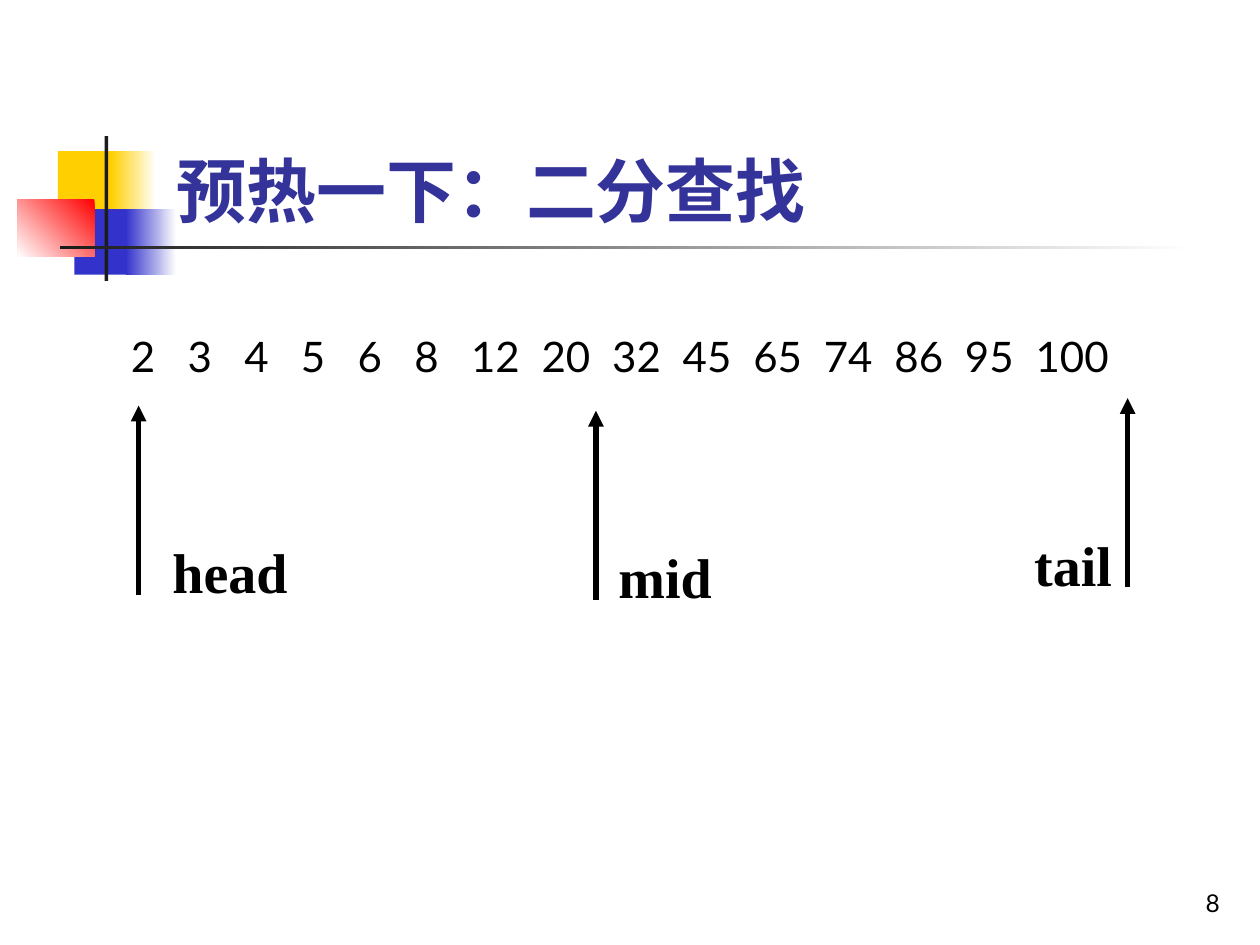
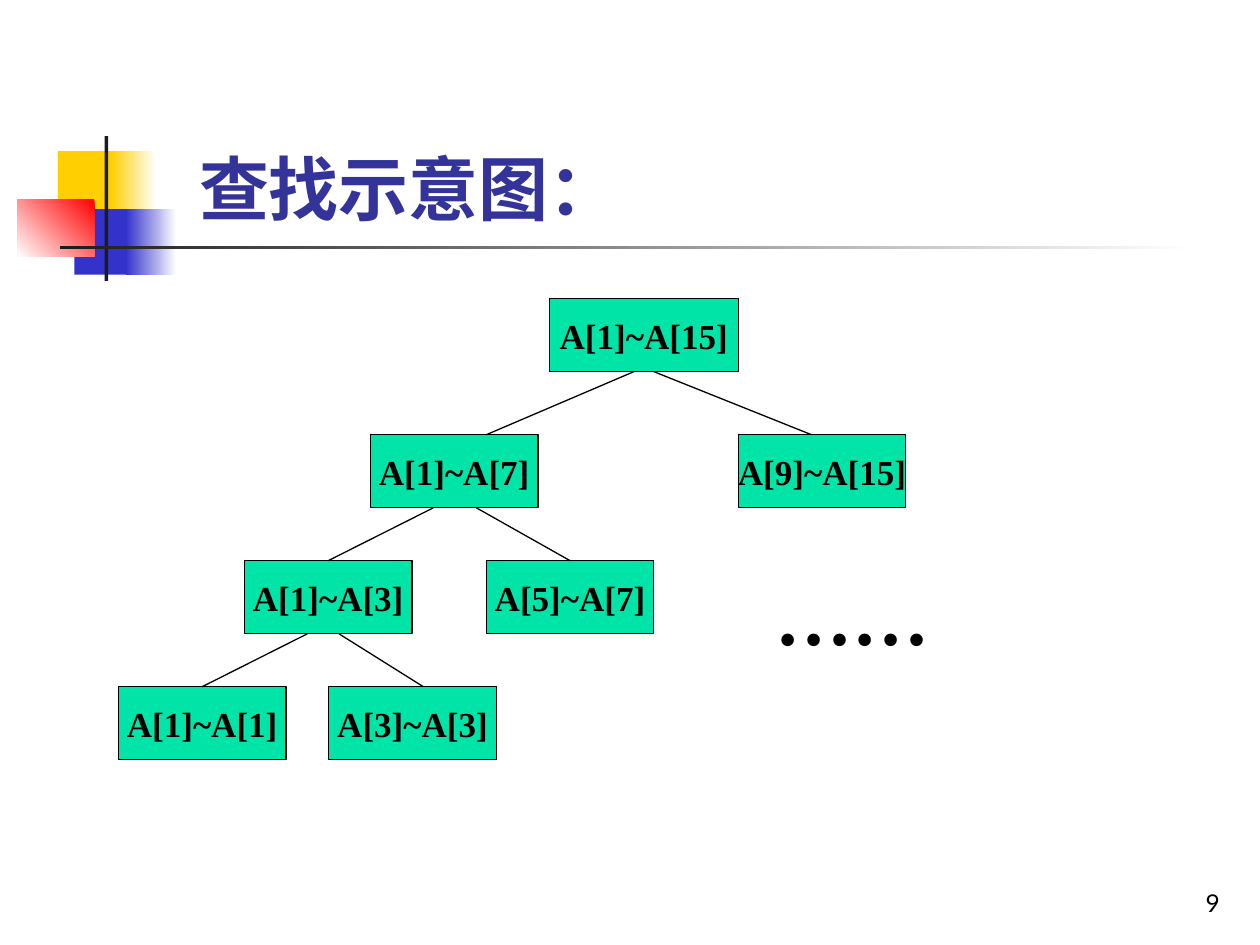
from lxml import etree
from pptx import Presentation
from pptx.dml.color import RGBColor
from pptx.enum.shapes import MSO_CONNECTOR, MSO_SHAPE
from pptx.enum.text import MSO_ANCHOR, PP_ALIGN
from pptx.oxml.ns import qn
from pptx.util import Inches, Pt

RECT = MSO_SHAPE.RECTANGLE
LINE = MSO_CONNECTOR.STRAIGHT
LEFT, CENTER, RIGHT = PP_ALIGN.LEFT, PP_ALIGN.CENTER, PP_ALIGN.RIGHT
TOP, MIDDLE, BOTTOM = MSO_ANCHOR.TOP, MSO_ANCHOR.MIDDLE, MSO_ANCHOR.BOTTOM

BLACK = RGBColor(0x00, 0x00, 0x00)
WHITE = RGBColor(0xFF, 0xFF, 0xFF)
INK = RGBColor(0x1C, 0x1C, 0x1C)
GOLD = RGBColor(0xFF, 0xCF, 0x01)
BLUE = RGBColor(0x33, 0x33, 0xCC)
RED = RGBColor(0xFF, 0x00, 0x00)
NAVY = RGBColor(0x33, 0x33, 0x99)
GREEN = RGBColor(0x00, 0xE4, 0xA8)

SANS, SERIF = "Lato", "Times New Roman"

BANDS = [
    ((0.46, 1.2, 0.48, 0.52), [GOLD], 0),
    ((0.88, 1.2, 0.36, 0.52), [WHITE, GOLD], 180),
    ((0.59, 1.66, 0.46, 0.52), [BLUE], 0),
    ((1, 1.66, 0.4, 0.52), [WHITE, BLUE], 180),
    ((0.14, 1.58, 0.61, 0.46), [RED, WHITE], 225),
    ((0.83, 1.08, 0.03, 1.15), [INK], 0),
    ((0.48, 1.95, 9, 0.03), [WHITE, INK], 180),
]


class Deck:
    def __init__(self):
        self.prs = Presentation()
        self.prs.slide_width = Inches(10)
        self.prs.slide_height = Inches(7.5)
        self.slide = None

    def start(self, title, spot, number):
        self.slide = self.prs.slides.add_slide(self.prs.slide_layouts[5])
        for place, tints, angle in BANDS:
            self.block(place, tints, angle)
        head = self.slide.shapes.title
        head.left, head.top, head.width, head.height = map(Inches, spot)
        self.style(head, title, 40, SANS, NAVY, True, anchor=BOTTOM)
        self.label((7.7, 6.83, 2.08, 0.5), str(number), 14, SANS,
                   align=RIGHT, anchor=BOTTOM)

    def style(self, shape, text, size, face, color=BLACK, bold=False,
              align=LEFT, anchor=TOP, wrap=True, stops=()):
        frame = shape.text_frame
        frame.word_wrap = wrap
        frame.vertical_anchor = anchor
        para = frame.paragraphs[0]
        para.text = text
        para.alignment = align
        if stops:
            tabs = etree.SubElement(para._p.get_or_add_pPr(), qn("a:tabLst"))
            for stop in stops:
                etree.SubElement(tabs, qn("a:tab"), pos=str(Inches(stop)), algn="l")
        font = para.font
        font.size, font.name, font.bold = Pt(size), face, bold
        font.color.rgb = color

    def label(self, place, text, size, face, **look):
        box = self.slide.shapes.add_textbox(*map(Inches, place))
        self.style(box, text, size, face, **look)

    def block(self, place, tints, angle=0):
        shape = self.slide.shapes.add_shape(RECT, *map(Inches, place))
        shape.shadow.inherit = False
        shape.line.fill.background()
        if len(tints) == 1:
            shape.fill.solid()
            shape.fill.fore_color.rgb = tints[0]
        else:
            shape.fill.gradient()
            shape.fill.gradient_angle = angle
            for stop, tint in zip(shape.fill.gradient_stops, tints):
                stop.color.rgb = tint
        return shape

    def node(self, place, text):
        shape = self.block(place, [GREEN])
        shape.line.color.rgb = BLACK
        shape.line.width = Pt(0.75)
        self.style(shape, text, 20, SERIF, bold=True, align=CENTER,
                   anchor=MIDDLE, wrap=False)
        return shape

    def line(self, ends, width=0.75, arrow=False):
        link = self.slide.shapes.add_connector(LINE, *map(Inches, ends))
        link.line.color.rgb = BLACK
        link.line.width = Pt(width)
        if arrow:
            etree.SubElement(link.get_or_add_ln(), qn("a:tailEnd"), type="triangle")
        etree.SubElement(link._element.spPr, qn("a:effectLst"))
        return link


def search(deck):
    deck.start("预热一下：二分查找", (1.3, 0.84, 6.83, 1.05), 8)
    values = [2, 3, 4, 5, 6, 8, 12, 20, 32, 45, 65, 74, 86, 95, 100]
    stops, stop = [], 0
    for value in values[:-1]:
        stop += 0.45 if value < 10 else 0.56
        stops.append(stop)
    deck.label((0.94, 2.57, 8.31, 0.65), "\t".join(map(str, values)),
               24, SANS, stops=stops)
    marks = [("head", 1.1, 3.22, 1.27, 1.25),
             ("mid", 4.73, 3.26, 4.81, 1.25),
             ("tail", 8.95, 3.16, 8.11, 0.92)]
    for name, x, top, left, width in marks:
        deck.line((x, top + 1.5, x, top), 3, True)
        deck.label((left, top + 1, width, 0.64), name, 32, SERIF, bold=True)


def tree(deck):
    deck.start("查找示意图：", (1.48, 0.91, 4.78, 0.96), 9)
    high = 0.58
    nodes = {}
    for low, last, left, top, width in [
        (1, 15, 4.36, 2.37, 1.5),
        (1, 7, 2.94, 3.45, 1.33),
        (9, 15, 5.86, 3.45, 1.33),
        (1, 3, 1.94, 4.45, 1.33),
        (5, 7, 3.86, 4.45, 1.33),
        (1, 1, 0.94, 5.45, 1.33),
        (3, 3, 2.61, 5.45, 1.33),
    ]:
        nodes[low, last] = deck.node((left, top, width, high), f"A[{low}]~A[{last}]")
    for child, x, top, end, foot, joined in [
        ((1, 7), 5.03, 2.37, 3.86, 3.45, False),
        ((9, 15), 5.19, 2.37, 6.44, 3.45, False),
        ((1, 3), 3.44, 3.45, 2.61, 4.45, True),
        ((5, 7), 3.78, 3.45, 4.53, 4.45, True),
        ((1, 1), 2.44, 4.45, 1.61, 5.45, True),
        ((3, 3), 2.69, 4.45, 3.36, 5.45, False),
    ]:
        link = deck.line((x, top + high, end, foot))
        if joined:
            link.end_connect(nodes[child], 0)
    deck.label((6.06, 4.46, 1.67, 0.84), "……", 44, SERIF, bold=True)


def main():
    deck = Deck()
    search(deck)
    tree(deck)
    deck.prs.save("out.pptx")


if __name__ == "__main__":
    main()
